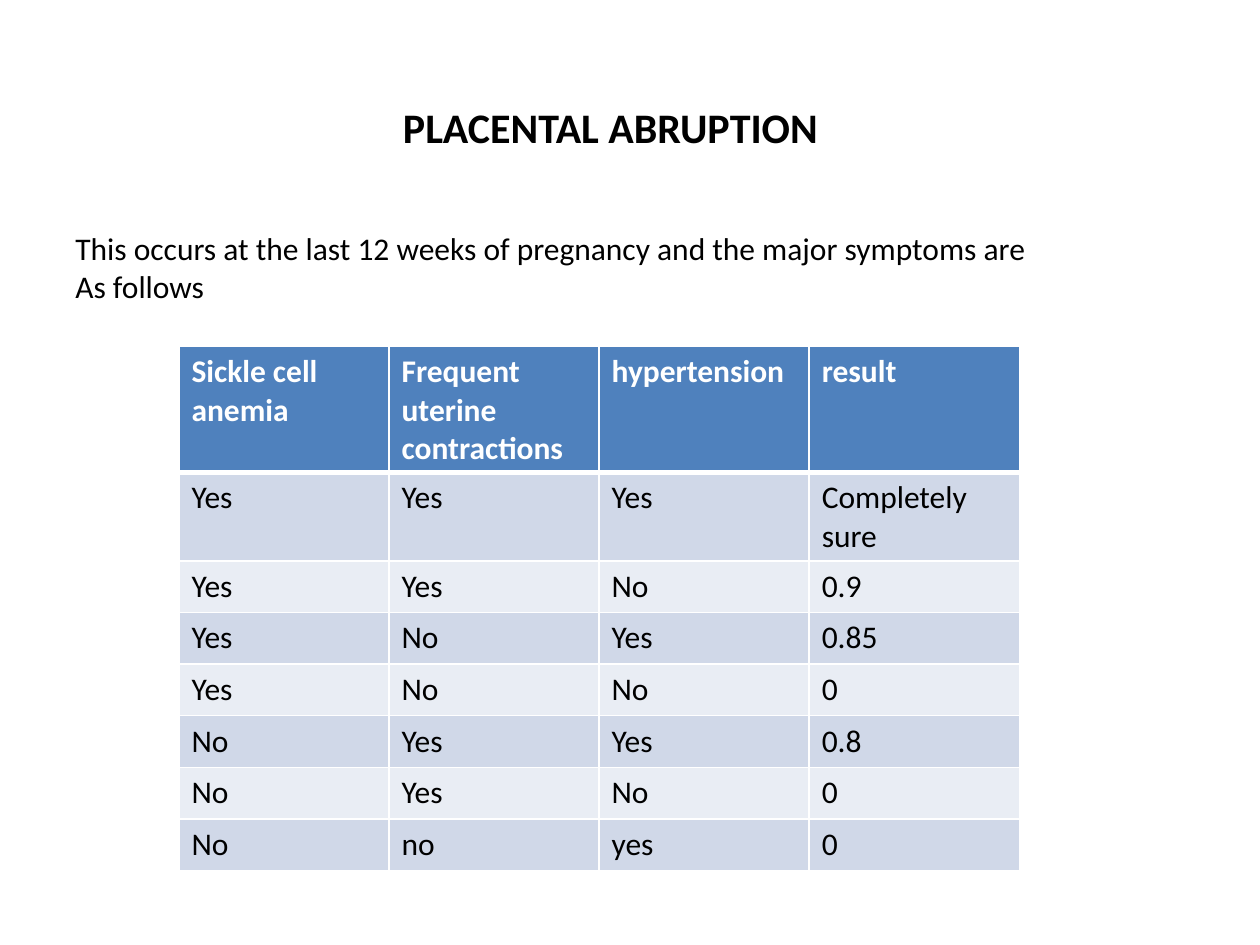
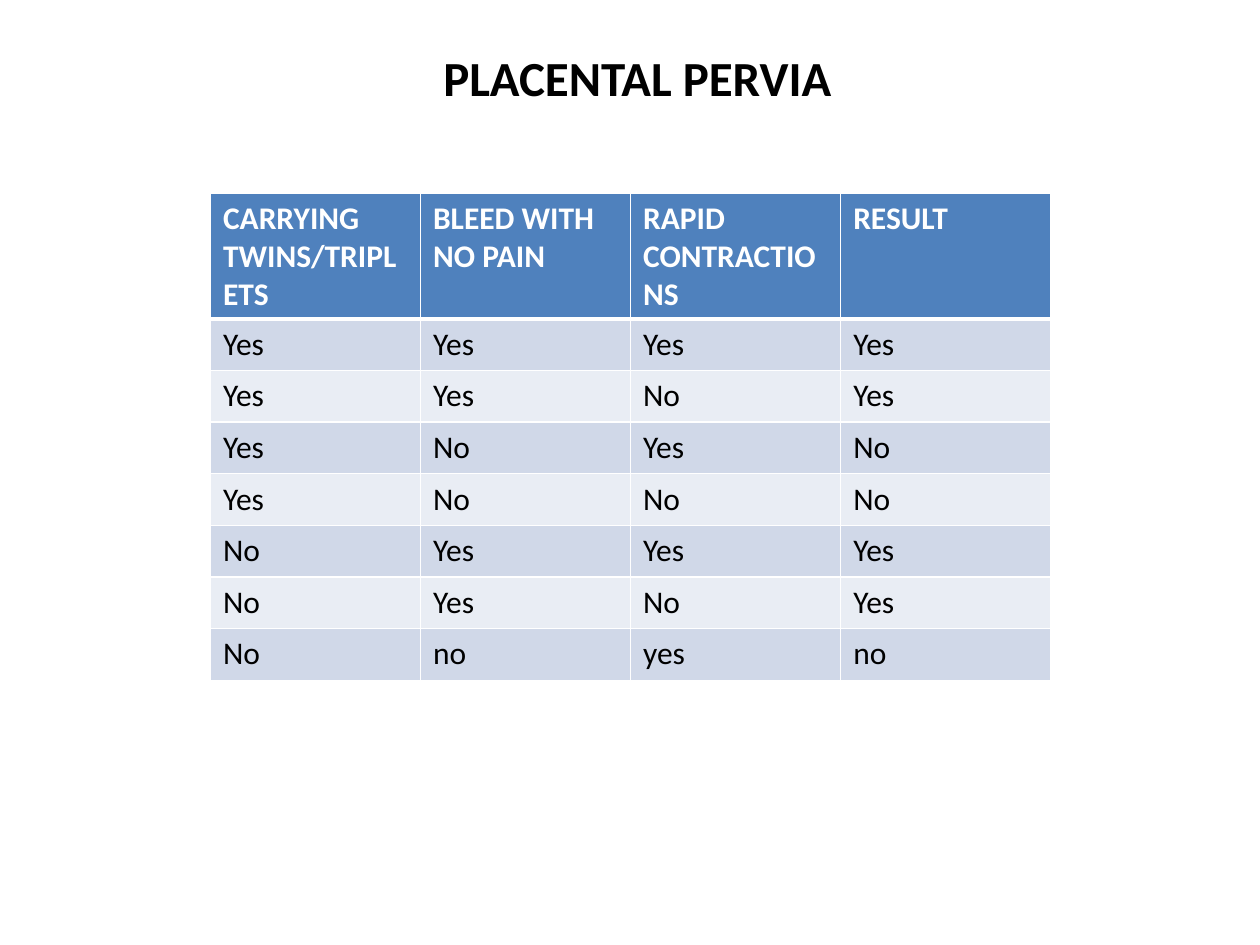
from dataclasses import dataclass

from lxml import etree
from pptx import Presentation
from pptx.dml.color import RGBColor
from pptx.enum.text import MSO_AUTO_SIZE
from pptx.oxml.ns import qn
from pptx.slide import Slide
from pptx.table import _Cell
from pptx.util import Inches, Pt

BLACK = RGBColor(0x00, 0x00, 0x00)
WHITE = RGBColor(0xFF, 0xFF, 0xFF)
BLUE = RGBColor(0x4F, 0x81, 0xBD)
BANDS = (RGBColor(0xD0, 0xD8, 0xE8), RGBColor(0xE9, 0xED, 0xF4))
GROW = MSO_AUTO_SIZE.SHAPE_TO_FIT_TEXT
FONT = "Calibri"
BODY = 18
WIDTH = 6.67
ROW = 0.41
THIN, THICK = 1, 3

SIGNS = (
    ("Yes", "Yes", "Yes"),
    ("Yes", "Yes", "No"),
    ("Yes", "No", "Yes"),
    ("Yes", "No", "No"),
    ("No", "Yes", "Yes"),
    ("No", "Yes", "No"),
    ("No", "no", "yes"),
)


@dataclass
class Label:
    text: str
    left: float
    top: float
    width: float
    height: float
    size: int = BODY
    bold: bool = False


@dataclass
class Grid:
    left: float
    top: float
    heads: tuple[str, ...]
    results: tuple[str, ...]


@dataclass
class Page:
    labels: list[Label]
    grid: Grid


PAGES = [
    Page(
        [
            Label("PLACENTAL ABRUPTION", 3.1, 0.76, 3.53, 0.5, 24, True),
            Label(
                "This occurs at the last 12 weeks of pregnancy and the major "
                "symptoms are\nAs follows",
                0.5, 1.77, 7.83, 0.71,
            ),
        ],
        Grid(
            1.42, 2.75,
            ("Sickle cell anemia", "Frequent uterine contractions",
             "hypertension", "result"),
            ("Completely sure", "0.9", "0.85", "0", "0.8", "0", "0"),
        ),
    ),
    Page(
        [Label("PLACENTAL PERVIA", 3.42, 0.33, 3.32, 0.57, 28, True)],
        Grid(
            1.67, 1.53,
            ("CARRYING TWINS/TRIPLETS", "BLEED WITH NO PAIN",
             "RAPID CONTRACTIONS", "RESULT"),
            ("Yes", "Yes", "No", "No", "Yes", "Yes", "no"),
        ),
    ),
]


def style(frame, size: int, bold: bool, color: RGBColor) -> None:
    for para in frame.paragraphs:
        for run in para.runs:
            run.font.name = FONT
            run.font.size = Pt(size)
            run.font.bold = bold
            run.font.color.rgb = color


def add_label(slide: Slide, label: Label) -> None:
    box = slide.shapes.add_textbox(
        Inches(label.left), Inches(label.top),
        Inches(label.width), Inches(label.height),
    )
    frame = box.text_frame
    frame.word_wrap = False
    frame.auto_size = GROW
    frame.text = label.text
    style(frame, label.size, label.bold, BLACK)


def add_edges(cell: _Cell, top: int, base: int) -> None:
    props = cell._tc.get_or_add_tcPr()
    for side, width in (("L", THIN), ("R", THIN), ("T", top), ("B", base)):
        line = etree.SubElement(props, qn(f"a:ln{side}"), w=str(Pt(width)))
        fill = etree.SubElement(line, qn("a:solidFill"))
        etree.SubElement(fill, qn("a:srgbClr"), val=str(WHITE))


def add_grid(slide: Slide, grid: Grid) -> None:
    rows = [grid.heads]
    rows += [(*signs, end) for signs, end in zip(SIGNS, grid.results)]
    table = slide.shapes.add_table(
        len(rows), len(grid.heads), Inches(grid.left), Inches(grid.top),
        Inches(WIDTH), Inches(ROW * len(rows)),
    ).table
    for r, row in enumerate(rows):
        head = r == 0
        for c, text in enumerate(row):
            cell = table.cell(r, c)
            add_edges(cell, THICK if r == 1 else THIN, THICK if head else THIN)
            cell.fill.solid()
            cell.fill.fore_color.rgb = BLUE if head else BANDS[(r - 1) % 2]
            cell.text_frame.text = text
            style(cell.text_frame, BODY, head, WHITE if head else BLACK)


def main() -> None:
    deck = Presentation()
    deck.slide_width = Inches(10)
    deck.slide_height = Inches(7.5)
    for page in PAGES:
        slide = deck.slides.add_slide(deck.slide_layouts[6])
        for label in page.labels:
            add_label(slide, label)
        add_grid(slide, page.grid)
    deck.save("out.pptx")


main()
